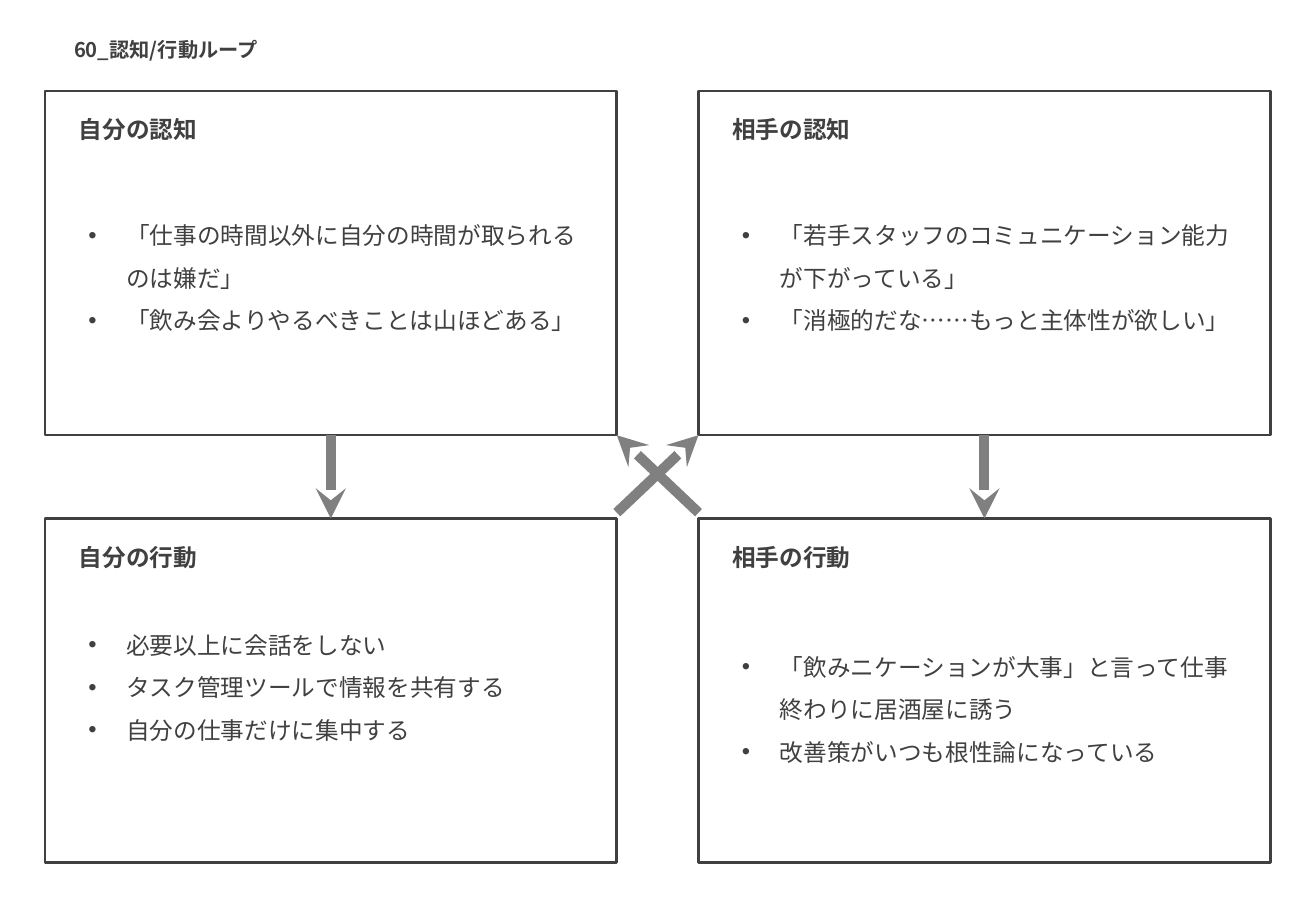
from dataclasses import dataclass

from lxml import etree
from pptx import Presentation
from pptx.dml.color import RGBColor
from pptx.enum import lang, shapes, text
from pptx.oxml import ns
from pptx.util import Pt


@dataclass(frozen=True)
class Theme:
    font: str = "Noto Sans CJK JP"
    ink: RGBColor = RGBColor(0x40, 0x40, 0x40)
    gray: RGBColor = RGBColor(0x80, 0x80, 0x80)
    title: int = 12
    body: int = 14
    edge: float = 1.5
    arrow: float = 6


THEME = Theme()
WIDE, HIGH = 339, 204
LEFT, RIGHT = 26.6, 414
TOP, LOW = 54, 307.4
CARDS = [
    (LEFT, TOP, 64.8, "自分の認知",
     ["「仕事の時間以外に自分の時間が取られるのは嫌だ」",
      "「飲み会よりやるべきことは山ほどある」"]),
    (RIGHT, TOP, 64.8, "相手の認知",
     ["「若手スタッフのコミュニケーション能力が下がっている」",
      "「消極的だな……もっと主体性が欲しい」"]),
    (LEFT, LOW, 54, "自分の行動",
     ["必要以上に会話をしない", "タスク管理ツールで情報を共有する",
      "自分の仕事だけに集中する"]),
    (RIGHT, LOW, 67, "相手の行動",
     ["「飲みニケーションが大事」と言って仕事終わりに居酒屋に誘う",
      "改善策がいつも根性論になっている"]),
]


def add(parent, tag, **attrs):
    return etree.SubElement(parent, ns.qn(tag), attrs)


def write(frame, lines, size=THEME.body, bold=False, bullet=False,
          anchor=text.MSO_ANCHOR.TOP, fit=text.MSO_AUTO_SIZE.NONE):
    """Fill a text frame with one paragraph per line."""
    frame.word_wrap = True
    frame.auto_size = fit
    frame.vertical_anchor = anchor
    for i, line in enumerate(lines):
        para = frame.add_paragraph() if i else frame.paragraphs[0]
        para.alignment = text.PP_ALIGN.LEFT
        if bullet:
            para.line_spacing = 1.5
            props = para._p.get_or_add_pPr()
            props.set("marL", str(Pt(22.5)))
            props.set("indent", str(-Pt(22.5)))
            add(props, "a:buFont", typeface="Arial")
            add(props, "a:buChar", char="•")
        run = para.add_run()
        run.text = line
        font = run.font
        font.size, font.bold, font.name = Pt(size), bold, THEME.font
        font.color.rgb = THEME.ink
        font.language_id = lang.MSO_LANGUAGE_ID.JAPANESE
        add(run._r.get_or_add_rPr(), "a:ea", typeface=THEME.font)


def head(slide, x, y, w, h):
    title = slide.shapes.title
    title.left, title.top, title.width, title.height = map(Pt, (x, y, w, h))
    write(title.text_frame, ["60_認知/行動ループ"], size=THEME.title, bold=True)


def card(slide, x, y, drop, name, points):
    """Draw a framed box; drop is the offset of its list from its top."""
    box = slide.shapes.add_shape(shapes.MSO_SHAPE.RECTANGLE,
                                 Pt(x), Pt(y), Pt(WIDE), Pt(HIGH))
    box.shadow.inherit = False
    box.fill.background()
    box.line.color.rgb = THEME.ink
    box.line.width = Pt(THEME.edge)
    label = slide.shapes.add_textbox(Pt(x + 13), Pt(y + 10.8), Pt(200), Pt(24.5))
    write(label.text_frame, [name], bold=True)
    items = slide.shapes.add_textbox(Pt(x + 18.7), Pt(y + drop), Pt(307.4), Pt(83.5))
    write(items.text_frame, points, bullet=True, anchor=text.MSO_ANCHOR.MIDDLE,
          fit=text.MSO_AUTO_SIZE.SHAPE_TO_FIT_TEXT)


def arrow(slide, *ends):
    link = slide.shapes.add_connector(shapes.MSO_CONNECTOR.STRAIGHT, *map(Pt, ends))
    link.line.color.rgb = THEME.gray
    link.line.width = Pt(THEME.arrow)
    add(link.line._get_or_add_ln(), "a:tailEnd", type="stealth")
    add(link._element.spPr, "a:effectLst")


def loop(slide):
    """Link the four cards: down each column, and up across the middle."""
    base, edge = TOP + HIGH, LEFT + WIDE
    for x in (LEFT, RIGHT):
        mid = x + WIDE / 2
        arrow(slide, mid, base, mid, LOW)
    for start, end in ((edge, RIGHT), (RIGHT, edge)):
        arrow(slide, start, LOW - 3.5, end, base)


def main():
    deck = Presentation()
    deck.slide_width, deck.slide_height = Pt(780), Pt(540)
    slide = deck.slides.add_slide(deck.slide_layouts.get_by_name("Title Only"))
    head(slide, 36.7, 18.7, 131, 22)
    for item in CARDS:
        card(slide, *item)
    loop(slide)
    deck.save("out.pptx")


if __name__ == "__main__":
    main()
